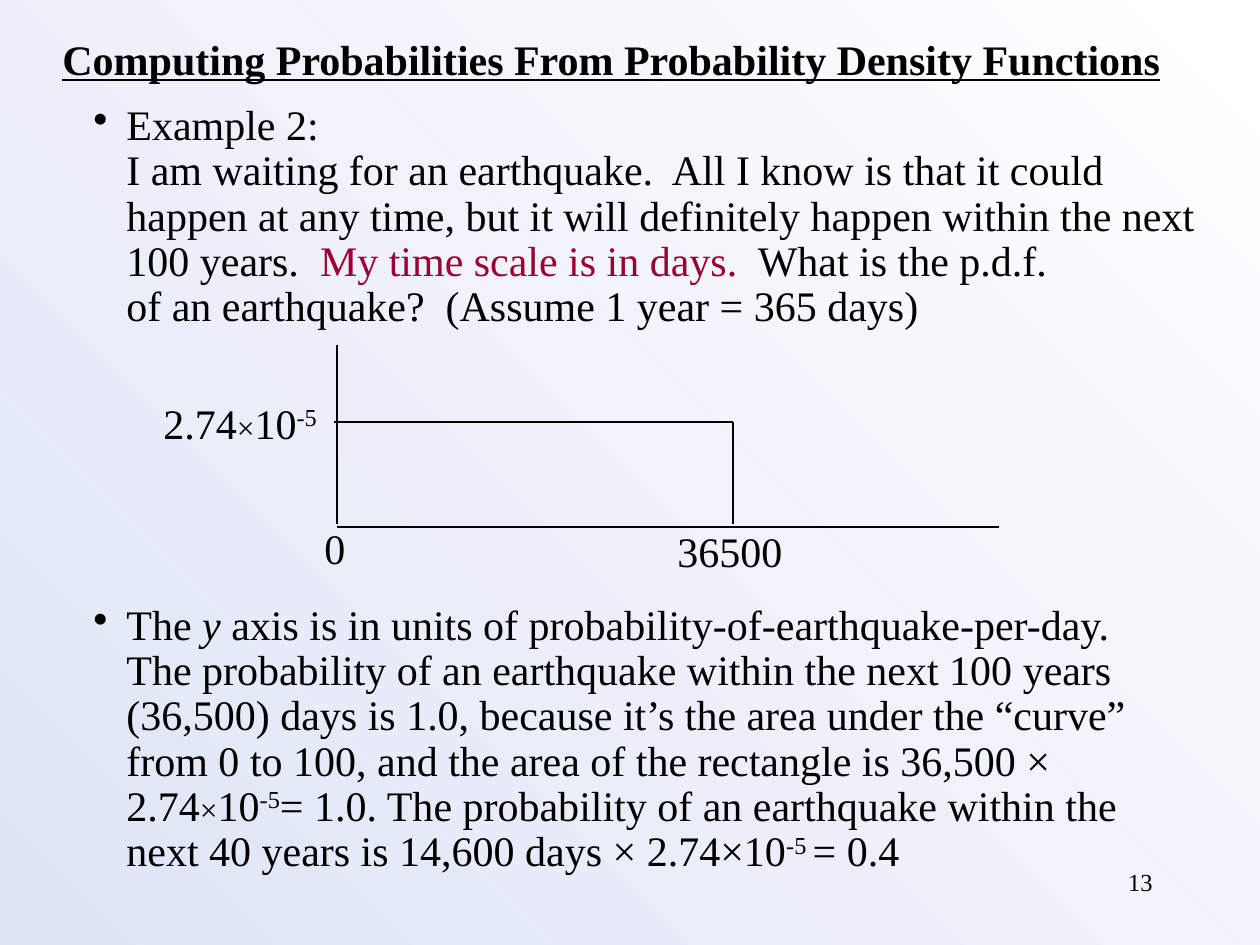
import lxml.etree
import pptx
import pptx.dml.color
import pptx.enum.shapes
import pptx.enum.text
import pptx.oxml.ns
import pptx.util

PX = 914400 // 126
THEME = {
    "font": "Times New Roman",
    "ink": "000000",
    "accent": "990033",
    "background": ("FFFFFF", "DFE5F5"),
    "body": 24,
    "times": 18,
    "number": 14,
}


def rgb(name):
    return pptx.dml.color.RGBColor.from_string(name)


def add_text(left, top, width, height, paragraphs, wrap=False):
    """Add a box; each paragraph is a list of (text, style) spans."""
    box = page.shapes.add_textbox(*(n * PX for n in (left, top, width, height)))
    frame = box.text_frame
    frame.word_wrap = wrap
    for index, spans in enumerate(paragraphs):
        para = frame.add_paragraph() if index else frame.paragraphs[0]
        for text, style in spans:
            for number, line in enumerate(text.split("\n")):
                if number:
                    para.add_line_break()
                span = para.add_run()
                span.text = line
                font = span.font
                font.name = THEME["font"]
                font.size = pptx.util.Pt(style.get("size", THEME["body"]))
                font.color.rgb = rgb(style.get("color", THEME["ink"]))
                font.bold = style.get("bold")
                font.italic = style.get("italic")
                font.underline = style.get("underline")
                if style.get("raised"):
                    span._r.get_or_add_rPr().set("baseline", "30000")
    return frame


deck = pptx.Presentation()
deck.slide_width = 1260 * PX
deck.slide_height = 945 * PX
page = deck.slides.add_slide(deck.slide_layouts[6])

fill = page.background.fill
fill.gradient()
fill.gradient_angle = 225
for stop, position, color in zip(fill.gradient_stops, (0, 1), THEME["background"]):
    stop.position = position
    stop.color.rgb = rgb(color)

# Body: two bullets with room for the graph between them
plain, raised = {}, {"raised": True}
small_times = ("×", {"size": THEME["times"]})
density = [("2.74", plain), small_times, ("10", plain), ("-5", raised)]
example = [
    ("Example 2:\nI am waiting for an earthquake.  All I know is that it could "
     "happen at any time, but it will definitely happen within the next "
     "100 years.  ", plain),
    ("My time scale is in days. ", {"color": THEME["accent"]}),
    (" What is the p.d.f.\nof an earthquake?  (Assume 1 year = 365 days)", plain),
]
explanation = [
    ("The ", plain),
    ("y", {"italic": True}),
    (" axis is in units of probability-of-earthquake-per-day.\n"
     "The probability of an earthquake within the next 100 years (36,500) days "
     "is 1.0, because it’s the area under the “curve” from 0 to 100, and the "
     "area of the rectangle is 36,500 × ", plain),
    *density,
    ("= 1.0. The probability of an earthquake within the next 40 years is "
     "14,600 days × 2.74×10", plain),
    ("-5 ", raised),
    ("= 0.4", plain),
]
body = add_text(81, 98, 1130, 790, [example, explanation], wrap=True)
for para in body.paragraphs:
    properties = para._p.get_or_add_pPr()
    properties.set("marL", str(33 * PX))
    properties.set("indent", str(-33 * PX))
    bullet_color = lxml.etree.SubElement(properties, pptx.oxml.ns.qn("a:buClr"))
    lxml.etree.SubElement(bullet_color, pptx.oxml.ns.qn("a:srgbClr"), val=THEME["ink"])
    lxml.etree.SubElement(properties, pptx.oxml.ns.qn("a:buChar"), char="•")
    para.line_spacing = 0.9
body.paragraphs[1].space_before = pptx.util.Pt(156)

# Uniform density graph
for x1, y1, x2, y2 in (
    (337, 527, 999, 527),  # x axis
    (337, 524, 337, 345),  # y axis
    (334, 422, 733, 422),  # density
    (733, 422, 733, 524),  # right edge
):
    line = page.shapes.add_connector(
        pptx.enum.shapes.MSO_CONNECTOR.STRAIGHT, x1 * PX, y1 * PX, x2 * PX, y2 * PX)
    line.line.color.rgb = rgb(THEME["ink"])
    line.line.width = pptx.util.Pt(1)
    lxml.etree.SubElement(line._element.spPr, pptx.oxml.ns.qn("a:effectLst"))

add_text(665, 519, 130, 63, [[("36500", plain)]])
add_text(312, 516, 46, 63, [[("0", plain)]])
add_text(151, 391, 179, 63, [density])

title_style = {"bold": True, "underline": True}
add_text(50, 27, 1125, 63, [[
    ("Computing Probabilities From Probability Density Functions", title_style)]])

number = add_text(903, 861, 262, 63, [[("13", {"size": THEME["number"]})]], wrap=True)
number.paragraphs[0].alignment = pptx.enum.text.PP_ALIGN.RIGHT

deck.save("out.pptx")
